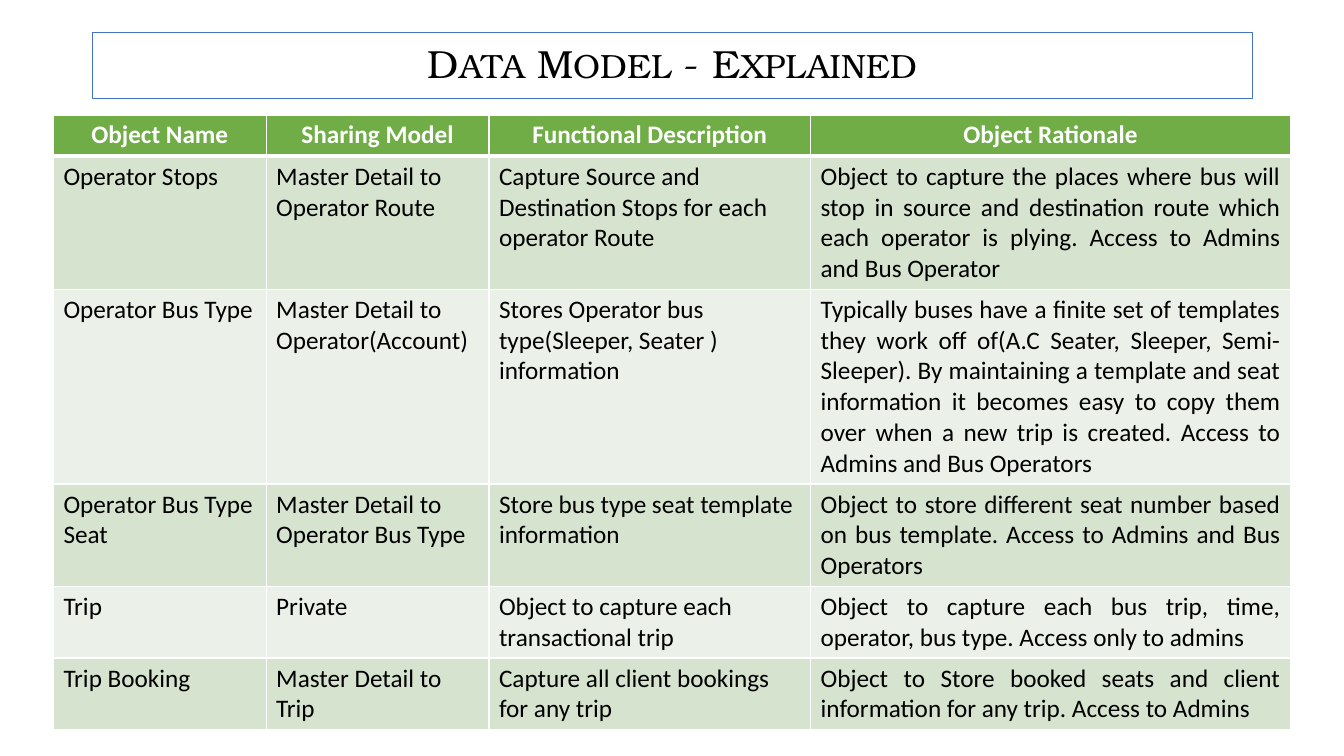
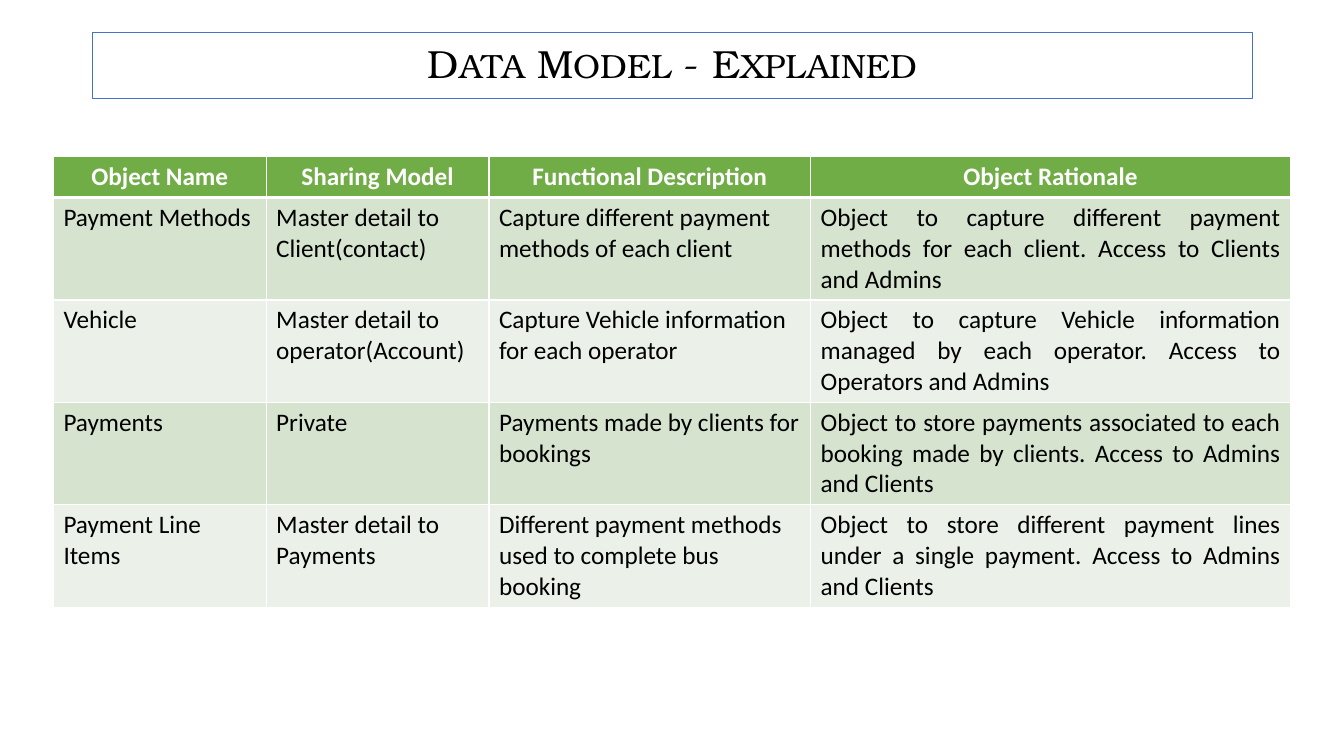
"""Build two slides that explain the objects of a bus booking data model."""
from lxml import etree
from pptx import Presentation
from pptx.dml.color import RGBColor
from pptx.enum import text
from pptx.oxml import ns
from pptx.util import Inches, Pt

COLORS = {
    "white": "FFFFFF",
    "black": "000000",
    "outline": "4472C4",
    "header": "70AD47",
    "band_dark": "D5E3CF",
    "band_light": "EBF1E9",
}
TITLE_RUNS = [("D", 28), ("ATA", 24), (" M", 28), ("ODEL", 24), (" - E", 28), ("XPLAINED", 24)]
TABLE_LEFT = 0.53
COLUMN_WIDTHS = [2.11, 2.21, 3.19, 4.76]
ROW_HEIGHT = 0.41
HEADINGS = ["Object Name", "Sharing Model", "Functional Description", "Object Rationale"]
ALIGN = text.PP_ALIGN

SLIDES = [
    (1.14, [
        ["Operator Stops", "Master Detail to Operator Route",
         "Capture Source and Destination Stops for each operator Route",
         "Object to capture the places where bus will stop in source and destination route "
         "which each operator is plying. Access to Admins and Bus Operator"],
        ["Operator Bus Type", "Master Detail to Operator(Account)",
         "Stores Operator bus type(Sleeper, Seater ) information",
         "Typically buses have a finite set of templates they work off of(A.C Seater, Sleeper, "
         "Semi-Sleeper). By maintaining a template and seat information it becomes easy to copy "
         "them over when a new trip is created. Access to Admins and Bus Operators"],
        ["Operator Bus Type Seat", "Master Detail to Operator Bus Type",
         "Store bus type seat template information",
         "Object to store different seat number based on bus template. "
         "Access to Admins and Bus Operators"],
        ["Trip", "Private", "Object to capture each transactional trip",
         "Object to capture each bus trip, time, operator, bus type. Access only to admins"],
        ["Trip Booking", "Master Detail to Trip", "Capture all client bookings for any trip",
         "Object to Store booked seats and client information for any trip. Access to Admins"],
    ]),
    (1.55, [
        ["Payment Methods", "Master detail to Client(contact)",
         "Capture different payment methods of each client",
         "Object to capture different payment methods for each client. "
         "Access to Clients and Admins"],
        ["Vehicle", "Master detail to operator(Account)",
         "Capture Vehicle information for each operator",
         "Object to capture Vehicle information managed by each operator. "
         "Access to Operators and Admins"],
        ["Payments", "Private", "Payments made by clients for bookings",
         "Object to store payments associated to each booking made by clients. "
         "Access to Admins and Clients"],
        ["Payment Line Items", "Master detail to Payments",
         "Different payment methods used to complete bus booking",
         "Object to store different payment lines under a single payment. "
         "Access to Admins and Clients"],
    ]),
]


def add_text(paragraph, content, font="Calibri", size=18, color="black", bold=False,
             align=ALIGN.LEFT):
    paragraph.alignment = align
    run = paragraph.add_run()
    run.text = content
    run.font.name = font
    run.font.size = Pt(size)
    run.font.bold = bold
    run.font.color.rgb = RGBColor.from_string(COLORS[color])


def add_borders(cell, **widths):
    properties = cell._tc.get_or_add_tcPr()
    for side in ("L", "R", "T", "B"):
        line = etree.SubElement(properties, ns.qn(f"a:ln{side}"), w=str(Pt(widths.get(side, 1))))
        fill = etree.SubElement(line, ns.qn("a:solidFill"))
        etree.SubElement(fill, ns.qn("a:srgbClr"), val=COLORS["white"])


presentation = Presentation()
presentation.slide_width = Inches(13.33)
presentation.slide_height = Inches(7.5)
title_only = presentation.slide_layouts[5]

for table_top, records in SLIDES:
    slide = presentation.slides.add_slide(title_only)

    title = slide.shapes.title
    title.left, title.top = Inches(0.92), Inches(0.32)
    title.width, title.height = Inches(11.5), Inches(0.66)
    title.fill.solid()
    title.fill.fore_color.rgb = RGBColor.from_string(COLORS["white"])
    title.line.color.rgb = RGBColor.from_string(COLORS["outline"])
    title.line.width = Pt(1)
    title.text_frame.auto_size = text.MSO_AUTO_SIZE.NONE
    title.text_frame.vertical_anchor = text.MSO_ANCHOR.MIDDLE
    title_paragraph = title.text_frame.paragraphs[0]
    title_paragraph.line_spacing = 0.9
    for content, size in TITLE_RUNS:
        add_text(title_paragraph, content, font="TeX Gyre Bonum", size=size, align=ALIGN.CENTER)

    rows = [HEADINGS] + records
    table = slide.shapes.add_table(
        len(rows), len(HEADINGS), Inches(TABLE_LEFT), Inches(table_top),
        Inches(sum(COLUMN_WIDTHS)), Inches(ROW_HEIGHT * len(rows))).table
    for column, width in zip(table.columns, COLUMN_WIDTHS):
        column.width = Inches(width)

    for row_index, row in enumerate(rows):
        table.rows[row_index].height = Inches(ROW_HEIGHT)
        is_header = row_index == 0
        band = "band_dark" if row_index % 2 else "band_light"
        for column_index, content in enumerate(row):
            cell = table.cell(row_index, column_index)
            add_borders(cell, T=3 if row_index == 1 else 1, B=3 if is_header else 1)
            cell.fill.solid()
            cell.fill.fore_color.rgb = RGBColor.from_string(
                COLORS["header" if is_header else band])
            is_rationale = column_index == len(HEADINGS) - 1
            body_align = ALIGN.JUSTIFY if is_rationale else ALIGN.LEFT
            add_text(cell.text_frame.paragraphs[0], content, bold=is_header,
                     color="white" if is_header else "black",
                     align=ALIGN.CENTER if is_header else body_align)

presentation.save("out.pptx")
